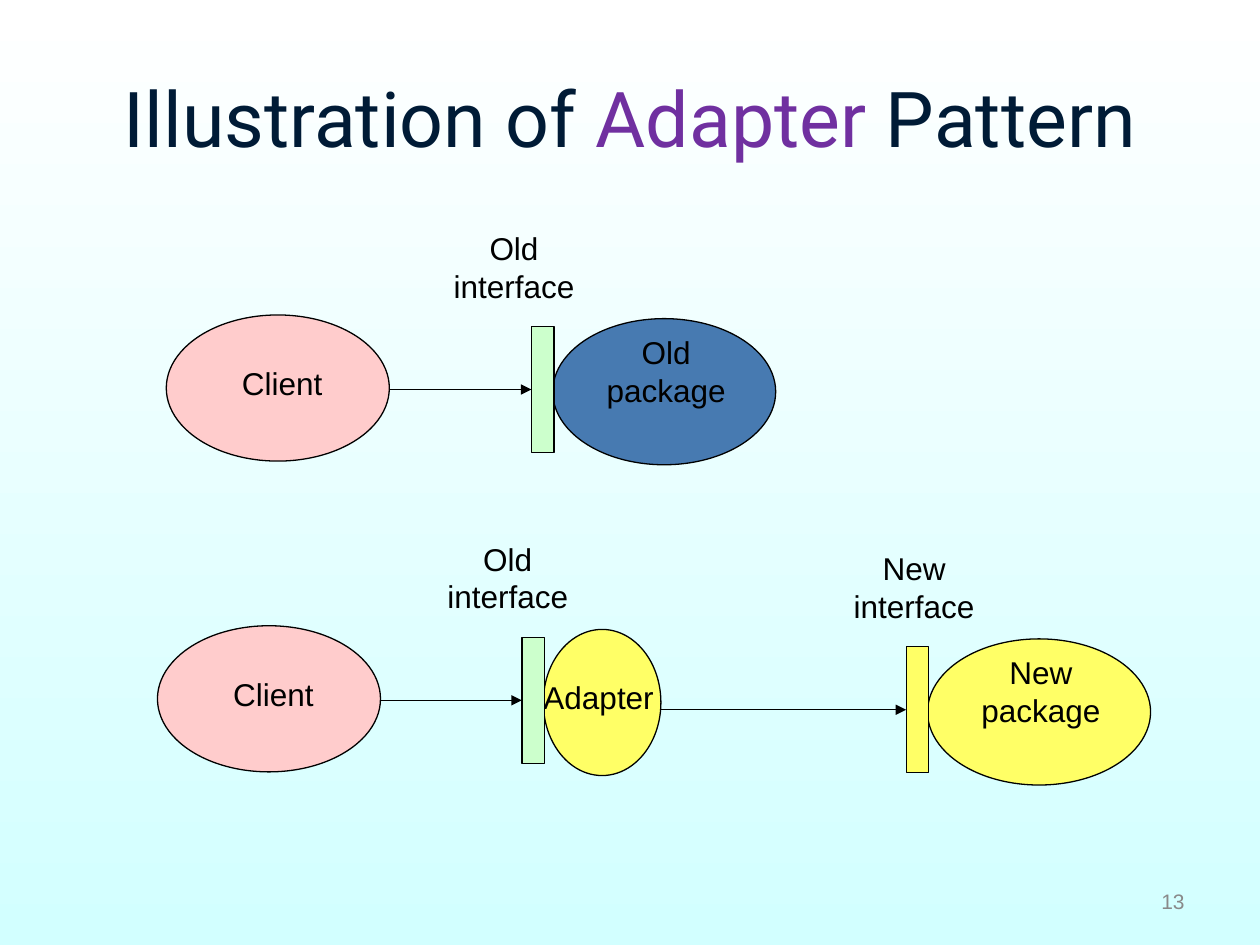
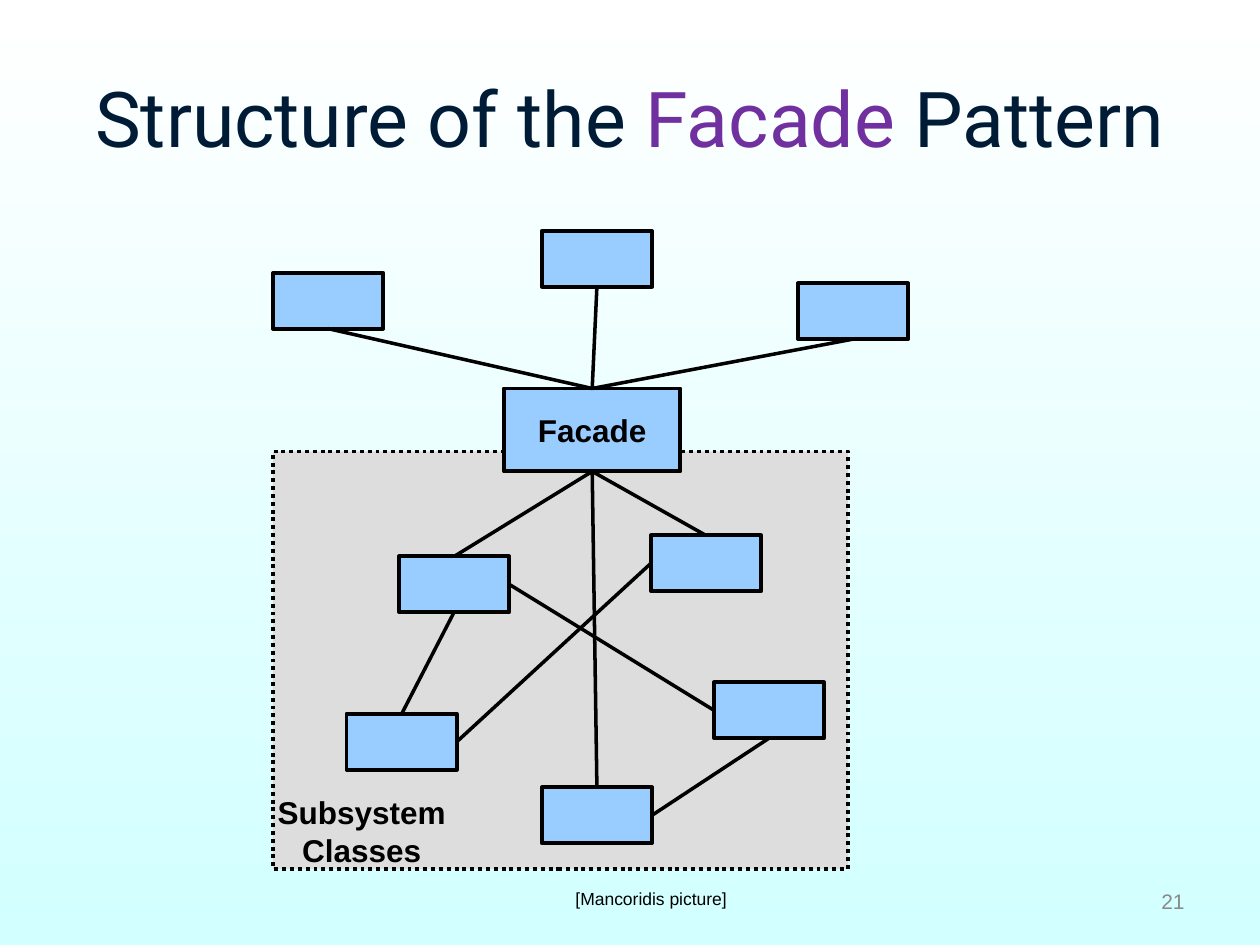
"""Two slides on design patterns: Adapter and Facade."""
from dataclasses import dataclass

from lxml import etree
from pptx import Presentation
from pptx.dml.color import RGBColor
from pptx.enum.dml import MSO_LINE
from pptx.enum.shapes import MSO_CONNECTOR, MSO_SHAPE
from pptx.enum.text import MSO_ANCHOR, PP_ALIGN
from pptx.oxml.ns import qn
from pptx.util import Inches, Pt

RECT, OVAL = MSO_SHAPE.RECTANGLE, MSO_SHAPE.OVAL
STRAIGHT, DOTTED = MSO_CONNECTOR.STRAIGHT, MSO_LINE.ROUND_DOT
TOP, MIDDLE = MSO_ANCHOR.TOP, MSO_ANCHOR.MIDDLE
CENTER, RIGHT = PP_ALIGN.CENTER, PP_ALIGN.RIGHT
T_SIDE, L_SIDE, B_SIDE, R_SIDE = range(4)

COLS, ROWS = 120, 90
OVAL_W, OVAL_H = 21.24, 13.92
BAR_W, BAR_H = 2.16, 12
BOX_W, BOX_H = 10.5, 5.3


@dataclass(frozen=True)
class Theme:
    """Colours, fonts, type sizes and line widths."""
    sky_top: str = "FFFFFF"
    sky_bottom: str = "D2FFFF"
    title: str = "001B36"
    accent: str = "7030A0"
    ink: str = "000000"
    number: str = "898989"
    client: str = "FFCCCC"
    old_package: str = "477AB1"
    old_interface: str = "CCFFCC"
    new: str = "FFFF66"
    subsystem: str = "DDDDDD"
    class_box: str = "99CCFF"
    head_font: str = "Roboto"
    body_font: str = "Arial"
    title_pt: int = 44
    body_pt: int = 18
    number_pt: int = 12
    credit_pt: int = 10
    thin: float = 0.75
    link: float = 2
    thick: float = 2.25


T = Theme()


def grid(*cells):
    """Turn grid columns or rows into lengths."""
    return [Inches(c * 10 / COLS) for c in cells]


def rgb(code):
    """Turn a hex code into a colour."""
    return RGBColor.from_string(code)


def add_run(p, text, color=T.ink, size=T.body_pt, font=T.body_font, bold=False):
    """Add one styled run to a paragraph."""
    r = p.add_run()
    r.text = text
    r.font.name, r.font.size, r.font.bold = font, Pt(size), bold
    r.font.color.rgb = rgb(color)


def add_text(s, x, y, w, h, align=CENTER, anchor=TOP):
    """Add a wrapping text box and return its paragraph."""
    tf = s.shapes.add_textbox(*grid(x, y, w, h)).text_frame
    tf.word_wrap, tf.vertical_anchor = True, anchor
    p = tf.paragraphs[0]
    p.alignment = align
    return p


def add_block(s, kind, x, y, w, h, fill, width):
    """Add a filled, outlined preset shape."""
    sp = s.shapes.add_shape(kind, *grid(x, y, w, h))
    sp.shadow.inherit = False
    sp.fill.solid()
    sp.fill.fore_color.rgb = rgb(fill)
    sp.line.color.rgb = rgb(T.ink)
    sp.line.width = Pt(width)
    return sp


def add_line(s, width, end, start=None, point=(0, 0), arrow=False):
    """Join a (shape, side) end to a (shape, side) start or a point."""
    x, y = grid(*point)
    cn = s.shapes.add_connector(STRAIGHT, x, y, x, y)
    if start:
        cn.begin_connect(*start)
    cn.end_connect(*end)
    cn.line.color.rgb = rgb(T.ink)
    cn.line.width = Pt(width)
    if arrow:
        etree.SubElement(cn.line._get_or_add_ln(), qn("a:tailEnd"), type="triangle")
    etree.SubElement(cn._element.spPr, qn("a:effectLst"))


def add_slide(prs, before, pattern, number):
    """Add a slide with the shared background, title and number."""
    s = prs.slides.add_slide(prs.slide_layouts[6])
    fill = s.background.fill
    fill.gradient()
    fill.gradient_angle = 270
    for stop, color, place in zip(fill.gradient_stops, (T.sky_top, T.sky_bottom), (0, 1)):
        stop.color.rgb, stop.position = rgb(color), place
    p = add_text(s, 6, 3.6, 108, 15, anchor=MIDDLE)
    for text, color in ((before, T.title), (pattern, T.accent), (" Pattern", T.title)):
        add_run(p, text, color, T.title_pt, T.head_font)
    p = add_text(s, 86, 83.4, 28, 4.8, RIGHT, MIDDLE)
    add_run(p, str(number), T.number, T.number_pt)
    return s


def add_client(s, x, y):
    """Add a client oval and return the column of its right edge."""
    add_block(s, OVAL, x, y, OVAL_W, OVAL_H, T.client, T.thin)
    add_run(add_text(s, x + 3.24, y + 4.08, 15.6, 4.8), "Client")
    return x + OVAL_W


def add_package(s, x, y, name, fill, interface, bar_fill, label_dx,
                w=OVAL_W, text_dx=5.04, text_dy=0):
    """Add an oval behind its labelled interface bar and return the bar."""
    add_block(s, OVAL, x + 2.04, y - 0.75, w, OVAL_H, fill, T.thin)
    add_run(add_text(s, x + text_dx, y + text_dy, 15.6, 8.4), name)
    bar = add_block(s, RECT, x, y, BAR_W, BAR_H, bar_fill, T.thin)
    add_run(add_text(s, x + label_dx, y - 9.9, 16.32, 8.4), interface)
    return bar


def add_call(s, x, bar, y):
    """Draw a level arrow from column x to a bar whose top is row y."""
    add_line(s, T.thin, (bar, L_SIDE), point=(x, y + BAR_H / 2), arrow=True)


def adapter_slide(prs):
    """Show a client using a package directly, then through an adapter."""
    s = add_slide(prs, "Illustration of ", "Adapter", 13)
    right = add_client(s, 15.84, 30)
    bar = add_package(s, 50.6, 31.1, "Old package", T.old_package,
                      "Old interface", T.old_interface, -9.8)
    add_call(s, right, bar, 31.1)

    right = add_client(s, 15, 59.6)
    bar = add_package(s, 49.7, 60.7, "Adapter", T.new, "Old interface",
                      T.old_interface, -9.5, w=11.2, text_dx=-0.48, text_dy=3.24)
    add_call(s, right, bar, 60.7)
    bar = add_package(s, 86.3, 61.6, "New package", T.new,
                      "New interface", T.new, -7.4)
    add_call(s, 62.9, bar, 61.6)


def facade_slide(prs):
    """Show clients reaching subsystem classes through a facade."""
    s = add_slide(prs, "Structure of the ", "Facade", 21)
    panel = add_block(s, RECT, 26, 43, 54.75, 39.75, T.subsystem, T.thick)
    panel.line.dash_style = DOTTED
    p = add_text(s, 23.3, 74.9, 22.3, 8.4, anchor=MIDDLE)
    add_run(p, "Subsystem Classes", bold=True)

    facade = add_block(s, RECT, 48, 37, 16.8, 7.9, T.class_box, T.thick)
    tf = facade.text_frame
    tf.word_wrap, tf.vertical_anchor = False, MIDDLE
    tf.paragraphs[0].alignment = CENTER
    add_run(tf.paragraphs[0], "Facade", bold=True)

    def class_boxes(*corners):
        """Add one equal box at each corner."""
        return [add_block(s, RECT, x, y, BOX_W, BOX_H, T.class_box, T.thick)
                for x, y in corners]

    clients = class_boxes((26, 26), (51.6, 22), (76, 27))
    upper_left, upper_right, lower_left, lower_right, bottom = class_boxes(
        (38, 53), (62, 51), (33, 68), (68, 65), (51.6, 75))

    links = [((c, B_SIDE), (facade, T_SIDE)) for c in clients]
    links += [((c, T_SIDE), (facade, B_SIDE)) for c in (upper_left, upper_right, bottom)]
    links += [
        ((upper_left, B_SIDE), (lower_left, T_SIDE)),
        ((upper_left, R_SIDE), (lower_right, L_SIDE)),
        ((upper_right, L_SIDE), (lower_left, R_SIDE)),
        ((lower_right, B_SIDE), (bottom, R_SIDE)),
    ]
    for start, end in links:
        add_line(s, T.link, end, start)

    add_run(add_text(s, 43, 84, 38, 3.2), "[Mancoridis picture]", size=T.credit_pt)


def main():
    """Build and save the presentation."""
    prs = Presentation()
    prs.slide_width, prs.slide_height = grid(COLS, ROWS)
    adapter_slide(prs)
    facade_slide(prs)
    prs.save("out.pptx")


if __name__ == "__main__":
    main()
